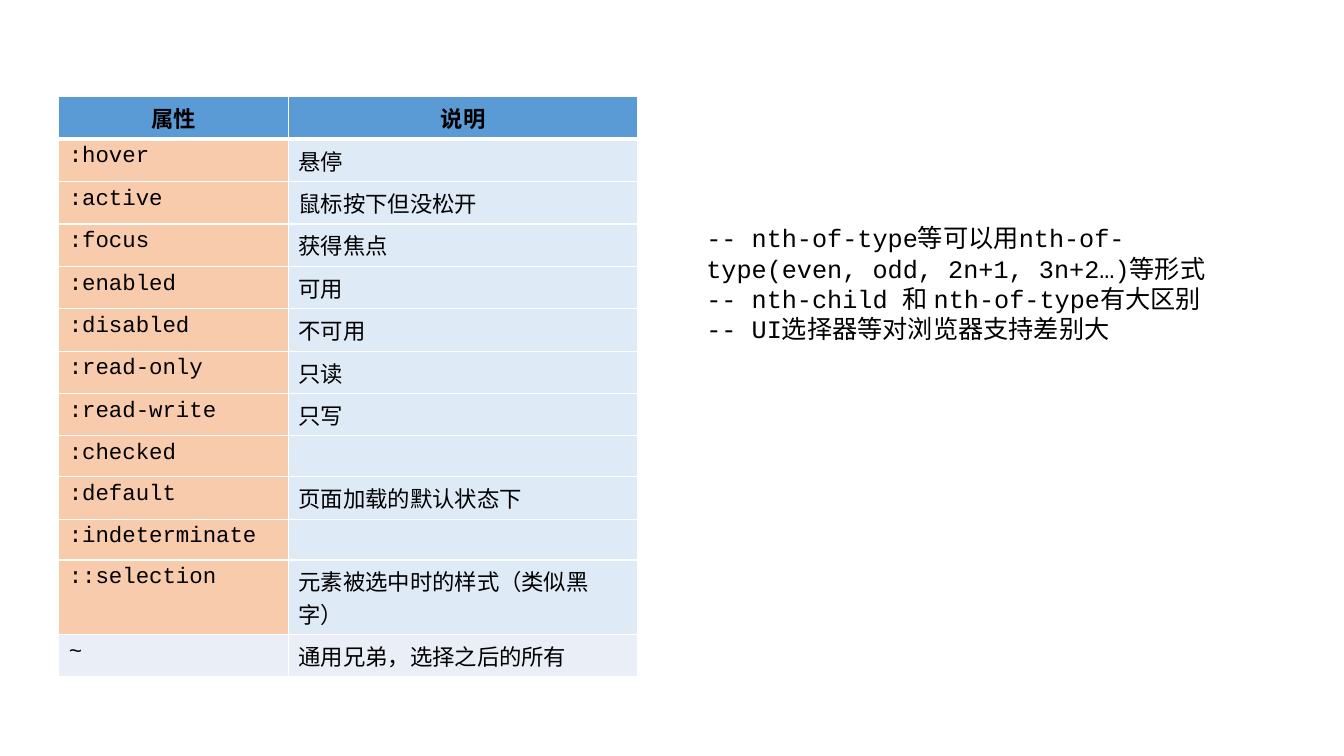
from pptx import Presentation
from pptx.dml.color import RGBColor
from pptx.enum import text as t
from pptx.oxml import parse_xml
from pptx.oxml.ns import nsdecls
from pptx.util import Cm, Pt

FONT = "Courier New"
BLACK = RGBColor(0x00, 0x00, 0x00)
WHITE = RGBColor(0xFF, 0xFF, 0xFF)
BLUE = RGBColor(0x5B, 0x9B, 0xD5)
PEACH = RGBColor(0xF8, 0xCB, 0xAD)
PALE = RGBColor(0xDE, 0xEB, 0xF7)
GREY = RGBColor(0xEA, 0xEF, 0xF7)

HEAD = ("属性", "说明")
STATES = [
    (":hover", "悬停"),
    (":active", "鼠标按下但没松开"),
    (":focus", "获得焦点"),
    (":enabled", "可用"),
    (":disabled", "不可用"),
    (":read-only", "只读"),
    (":read-write", "只写"),
    (":checked", ""),
    (":default", "页面加载的默认状态下"),
    (":indeterminate", ""),
    ("::selection", "元素被选中时的样式（类似黑字）"),
]
SIBLING = ("~", "通用兄弟，选择之后的所有")
NOTES = [
    "-- nth-of-type等可以用nth-of-type(even, odd, 2n+1, 3n+2…)等形式",
    "-- nth-child 和 nth-of-type有大区别",
    "-- UI选择器等对浏览器支持差别大",
]


def style(frame, size, bold=False):
    """Format every run of a text frame."""
    for para in frame.paragraphs:
        for run in para.runs:
            font = run.font
            font.name, font.size, font.bold = FONT, Pt(size), bold
            font.color.rgb = BLACK


def border(cell, side, width):
    """Draw one white cell edge."""
    cell._tc.get_or_add_tcPr().append(parse_xml(
        f'<a:ln{side} {nsdecls("a")} w="{Pt(width)}"><a:solidFill>'
        f'<a:srgbClr val="{WHITE}"/></a:solidFill></a:ln{side}>'))


def fill_cell(cell, words, color, top=1, base=1, head=False):
    """Write, frame and colour one table cell."""
    cell.text = words
    style(cell.text_frame, 16, head)
    if head:
        cell.text_frame.paragraphs[0].alignment = t.PP_ALIGN.CENTER
    for side, width in zip("LRTB", (1, 1, top, base)):
        border(cell, side, width)
    cell.fill.solid()
    cell.fill.fore_color.rgb = color


def add_states(slide):
    """Add the table of selectors."""
    rows = [(HEAD, (BLUE, BLUE))]
    rows += [(pair, (PEACH, PALE)) for pair in STATES]
    rows += [(SIBLING, (GREY, GREY))]
    table = slide.shapes.add_table(
        len(rows), 2, Cm(1.48), Cm(2.44), Cm(14.6), Cm(13.39)).table
    for col, width in zip(table.columns, (5.79, 8.81)):
        col.width = Cm(width)
    for i, (pair, colors) in enumerate(rows):
        table.rows[i].height = Cm(1.03)
        for j, words in enumerate(pair):
            fill_cell(table.cell(i, j), words, colors[j],
                      top=3 if i == 1 else 1,
                      base=3 if i == 0 else 1, head=i == 0)


def add_notes(slide):
    """Add the remarks beside the table."""
    box = slide.shapes.add_textbox(Cm(17.55), Cm(5.49), Cm(13.74), Cm(3.33))
    frame = box.text_frame
    frame.word_wrap = True
    frame.auto_size = t.MSO_AUTO_SIZE.SHAPE_TO_FIT_TEXT
    frame.text = "\n".join(NOTES)
    style(frame, 18)


def main():
    """Build and save the slide."""
    deck = Presentation()
    deck.slide_width, deck.slide_height = Cm(33.87), Cm(19.05)
    slide = deck.slides.add_slide(deck.slide_layouts[6])
    add_states(slide)
    add_notes(slide)
    deck.save("out.pptx")


main()
